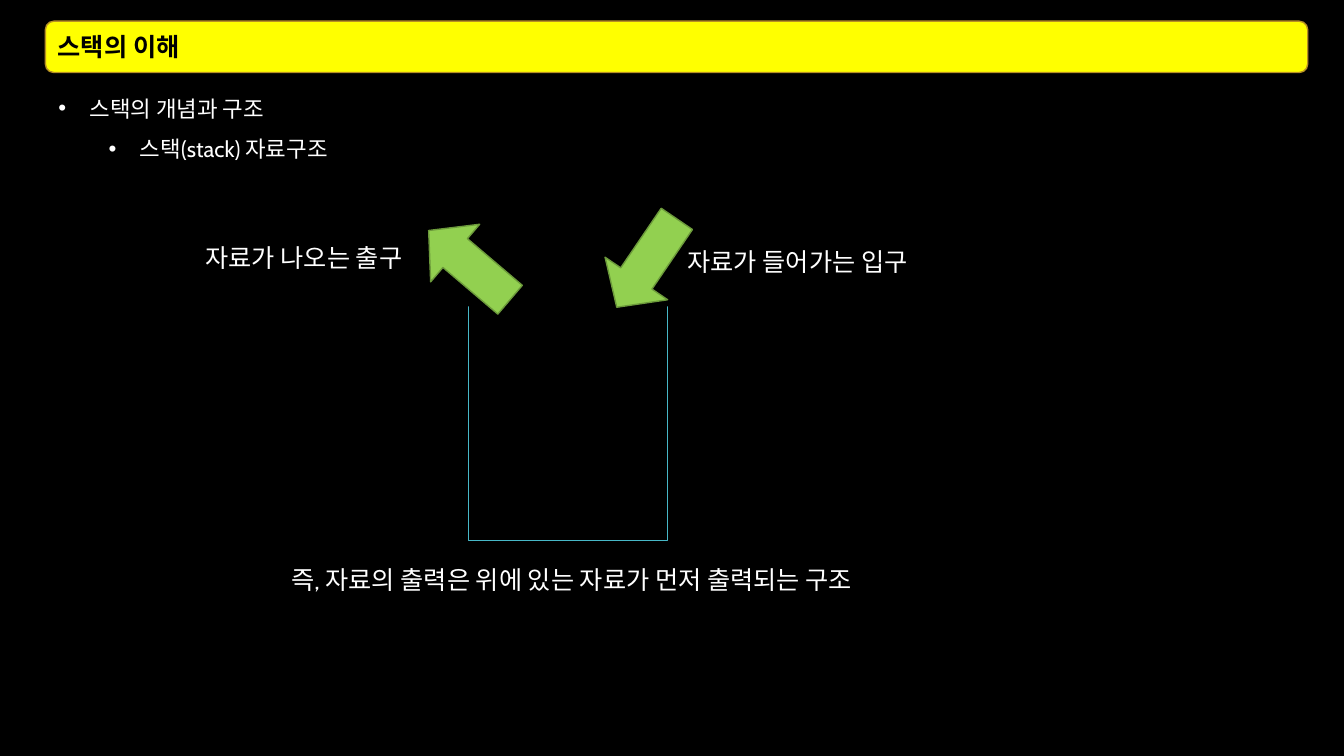
from dataclasses import dataclass

from lxml import etree
from pptx import Presentation
from pptx.dml.color import RGBColor
from pptx.enum.shapes import MSO_SHAPE
from pptx.enum.text import MSO_ANCHOR, MSO_AUTO_SIZE, PP_ALIGN
from pptx.oxml.ns import qn
from pptx.util import Inches, Pt

RECTANGLE = MSO_SHAPE.RECTANGLE
ROUNDED = MSO_SHAPE.ROUNDED_RECTANGLE
DOWN_ARROW = MSO_SHAPE.DOWN_ARROW
TOP, MIDDLE = MSO_ANCHOR.TOP, MSO_ANCHOR.MIDDLE
LEFT = PP_ALIGN.LEFT
GROW = MSO_AUTO_SIZE.SHAPE_TO_FIT_TEXT


@dataclass(frozen=True)
class Theme:
    font: str = "Cabin"
    black: str = "000000"
    white: str = "FFFFFF"
    yellow: str = "FFFF00"
    gold: str = "B79024"
    teal: str = "47B8C7"
    green: str = "92D050"
    dark_green: str = "6C9A3B"
    body_size: int = 16
    large_size: int = 18


THEME = Theme()


def add_box(shapes, kind, frame, fill=None, line=None):
    box = shapes.add_shape(kind, *map(Inches, frame))
    box.shadow.inherit = False
    if fill:
        box.fill.solid()
        box.fill.fore_color.rgb = RGBColor.from_string(fill)
    else:
        box.fill.background()
    if line:
        box.line.color.rgb = RGBColor.from_string(line)
        box.line.width = Pt(1)
    else:
        box.line.fill.background()
    return box


def style_para(para, size, color, bold=False):
    para.alignment = LEFT
    for run in para.runs:
        run.font.name = THEME.font
        run.font.size = Pt(size)
        run.font.bold = bold
        run.font.color.rgb = RGBColor.from_string(color)


def add_bullet(para, margin, hanging=0.31):
    properties = para._p.get_or_add_pPr()
    properties.set("marL", str(Inches(margin)))
    properties.set("indent", str(-Inches(hanging)))
    etree.SubElement(properties, qn("a:buFont"), typeface="Arial")
    etree.SubElement(properties, qn("a:buChar"), char="•")


def add_outline(page, items):
    """Add the body panel with one bulleted level per item."""
    panel = add_box(page.shapes, RECTANGLE, (0.48, 0.76, 12.48, 6.46),
                    THEME.black, THEME.black)
    frame = panel.text_frame
    frame.vertical_anchor = TOP
    frame.text = "\n".join(items)
    for level, para in enumerate(frame.paragraphs):
        para.level = level
        para.line_spacing = 1.5
        add_bullet(para, 0.31 + 0.5 * level)
        style_para(para, THEME.body_size, THEME.white)


def add_title(page, text):
    bar = add_box(page.shapes, ROUNDED, (0.45, 0.21, 12.52, 0.51),
                  THEME.yellow, THEME.gold)
    bar.text_frame.text = text
    bar.text_frame.vertical_anchor = MIDDLE
    style_para(bar.text_frame.paragraphs[0], THEME.large_size, THEME.black, bold=True)


def add_open_container(page):
    """Draw an outlined box whose top edge is covered, so it looks open."""
    container = page.shapes.add_group_shape()
    add_box(container.shapes, RECTANGLE, (4.65, 2.98, 1.97, 2.38), line=THEME.teal)
    add_box(container.shapes, RECTANGLE, (4.49, 2.93, 2.28, 0.11), fill=THEME.black)


def add_arrow(page, left, top, rotation):
    arrow = add_box(page.shapes, DOWN_ARROW, (left, top, 0.75, 1.06),
                    THEME.green, THEME.dark_green)
    arrow.adjustments[0] = 0.5
    arrow.adjustments[1] = 0.46
    arrow.rotation = rotation


def add_label(page, text, left, top, width):
    label = page.shapes.add_textbox(*map(Inches, (left, top, width, 0.4)))
    frame = label.text_frame
    frame.word_wrap = True
    frame.auto_size = GROW
    frame.text = text
    style_para(frame.paragraphs[0], THEME.large_size, THEME.white)


def main():
    deck = Presentation()
    deck.slide_width, deck.slide_height = Inches(13.33), Inches(7.5)
    page = deck.slides.add_slide(deck.slide_layouts[6])
    page.background.fill.solid()
    page.background.fill.fore_color.rgb = RGBColor.from_string(THEME.black)

    add_outline(page, ["스택의 개념과 구조", "스택(stack) 자료구조"])
    add_title(page, "스택의 이해")
    add_open_container(page)
    add_arrow(page, 6.04, 2.08, 34.2)
    add_arrow(page, 4.28, 2.1, 130.4)
    add_label(page, "자료가 들어가는 입구", 6.72, 2.39, 2.71)
    add_label(page, "자료가 나오는 출구", 1.94, 2.36, 2.71)
    add_label(page, "즉, 자료의 출력은 위에 있는 자료가 먼저 출력되는 구조", 2.79, 5.55, 6.3)
    deck.save("out.pptx")


if __name__ == "__main__":
    main()
